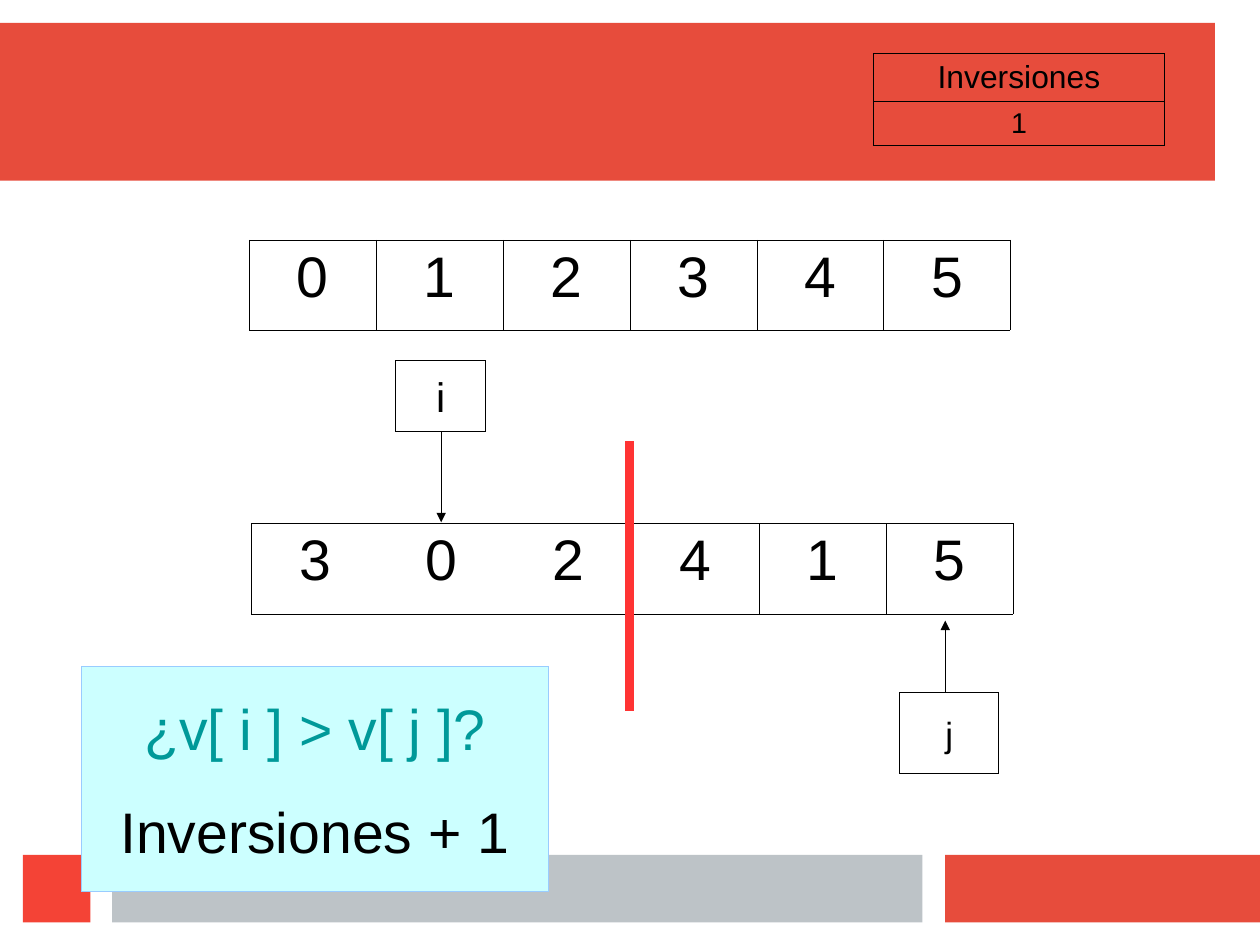
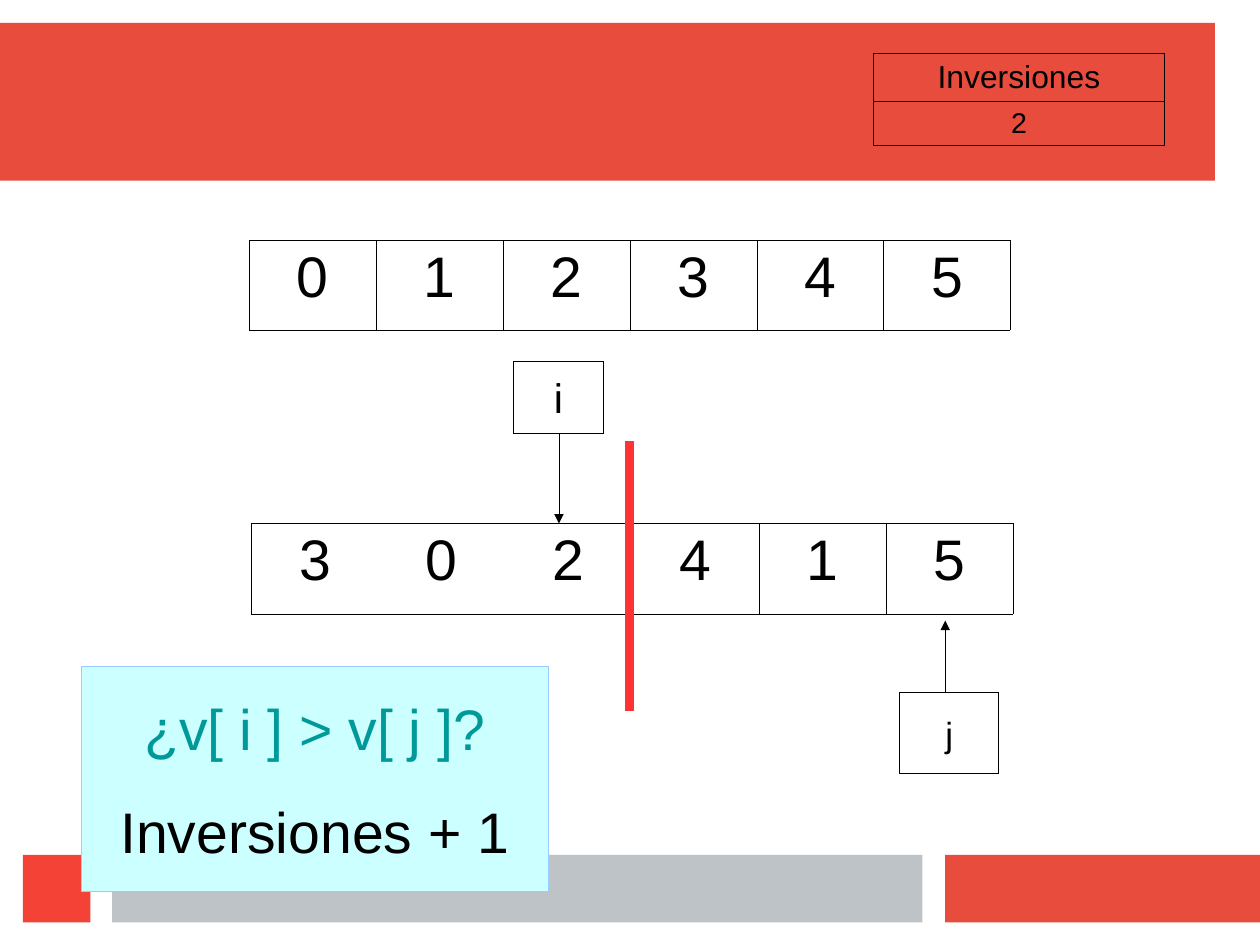
import lxml.etree
import pptx
import pptx.dml.color
import pptx.enum.shapes
import pptx.enum.text
import pptx.oxml.ns
import pptx.util

Inches = pptx.util.Inches
Pt = pptx.util.Pt
qn = pptx.oxml.ns.qn

FONT = "Arial"
BLACK, WHITE = "000000", "FFFFFF"
RED, BRIGHT_RED, GRAY = "E74C3C", "F44336", "BDC3C7"
DIVIDER_RED = "FF3333"
CYAN, CYAN_EDGE, TEAL = "CCFFFF", "99CCFF", "009999"
HAIRLINE = 0.01
BANDS = [
    (0, 0.2, 10.63, 1.38, RED),
    (8.27, 7.48, 2.76, 0.59, RED),
    (0.98, 7.48, 7.09, 0.59, GRAY),
    (0.2, 7.48, 0.59, 0.59, BRIGHT_RED),
]
CELL_WIDTH, CELL_HEIGHT = 1.11, 0.79


def color(value):
    return pptx.dml.color.RGBColor.from_string(value)


def format_para(para, size, ink=BLACK):
    para.alignment = pptx.enum.text.PP_ALIGN.CENTER
    for span in para.runs:
        span.font.name = FONT
        span.font.size = Pt(size)
        span.font.color.rgb = color(ink)


def add_box(slide, left, top, width, height, fill, edge=None):
    box = slide.shapes.add_shape(
        pptx.enum.shapes.MSO_SHAPE.RECTANGLE,
        Inches(left), Inches(top), Inches(width), Inches(height))
    box.shadow.inherit = False
    box.fill.solid()
    box.fill.fore_color.rgb = color(fill)
    if edge:
        box.line.color.rgb = color(edge)
        box.line.width = Pt(HAIRLINE)
    else:
        box.line.fill.background()
    return box


def add_text_box(slide, left, top, width, height, lines, size, fill=WHITE, edge=BLACK):
    """Add a box with centred lines, each given as (text, colour)."""
    box = add_box(slide, left, top, width, height, fill, edge)
    frame = box.text_frame
    frame.word_wrap = False
    frame.vertical_anchor = pptx.enum.text.MSO_ANCHOR.MIDDLE
    frame.text = "\n".join(text for text, _ in lines)
    for para, (_, ink) in zip(frame.paragraphs, lines):
        format_para(para, size, ink)
    return box


def add_line(slide, start, end, ink=BLACK, width=HAIRLINE, arrow=False):
    line = slide.shapes.add_connector(
        pptx.enum.shapes.MSO_CONNECTOR.STRAIGHT,
        *[Inches(value) for value in (*start, *end)])
    line.line.color.rgb = color(ink)
    line.line.width = Pt(width)
    properties = line._element.spPr
    if arrow:
        outline = properties.find(qn("a:ln"))
        lxml.etree.SubElement(outline, qn("a:tailEnd"), type="triangle")
    lxml.etree.SubElement(properties, qn("a:effectLst"))


def set_borders(cell, width, hidden=()):
    """Draw the four cell borders, leaving out the hidden sides (L, R, T, B)."""
    properties = cell._tc.get_or_add_tcPr()
    for index, side in enumerate("LRTB"):
        border = lxml.etree.Element(qn(f"a:ln{side}"), w=str(Pt(width)))
        if side in hidden:
            lxml.etree.SubElement(border, qn("a:noFill"))
        else:
            paint = lxml.etree.SubElement(border, qn("a:solidFill"))
            lxml.etree.SubElement(paint, qn("a:srgbClr"), val=BLACK)
        properties.insert(index, border)


def add_grid(slide, left, top, column_widths, row_heights, values, sizes,
             border=0.06, merged=0):
    """Add a table; no lines show between the first `merged` columns."""
    table = slide.shapes.add_table(
        len(row_heights), len(column_widths), Inches(left), Inches(top),
        Inches(sum(column_widths)), Inches(sum(row_heights))).table
    table.first_row = table.horz_banding = False
    for column, width in zip(table.columns, column_widths):
        column.width = Inches(width)
    for row, height, texts, size in zip(table.rows, row_heights, values, sizes):
        row.height = Inches(height)
        for index, (cell, text) in enumerate(zip(row.cells, texts)):
            cell.fill.background()
            hidden = ("L" if 0 < index < merged else "") + ("R" if index < merged - 1 else "")
            set_borders(cell, border, hidden)
            cell.text = text
            format_para(cell.text_frame.paragraphs[0], size)


def add_array(slide, left, top, digits, merged=0):
    add_grid(slide, left, top, [CELL_WIDTH] * len(digits), [CELL_HEIGHT],
             [digits], [36], merged=merged)


def add_counter(slide, left, top, count):
    add_grid(slide, left, top, [2.55], [0.42, 0.38],
             [["Inversiones"], [str(count)]], [20, 18], border=0.57)


def add_index_i(slide, left, top):
    """Add the box for i, with its arrow pointing down."""
    center = left + 0.4
    add_line(slide, (center, top + 0.55), (center, top + 1.42), arrow=True)
    add_text_box(slide, left, top, 0.79, 0.63, [("i", BLACK)], 26)


def add_index_j(slide, left, top):
    """Add the box for j, with its arrow pointing up."""
    center = left + 0.4
    add_line(slide, (center, top + 0.08), (center, top - 0.63), arrow=True)
    add_text_box(slide, left, top, 0.87, 0.71, [("j", BLACK)], 22)


def add_question(slide, left, top):
    box = add_text_box(
        slide, left, top, 4.09, 1.97,
        [("¿v[ i ] > v[ j ]?", TEAL), ("Inversiones + 1", BLACK)], 36, CYAN, CYAN_EDGE)
    box.text_frame.paragraphs[1].space_before = Pt(21.5)


def add_step_slide(deck, count, i_left, i_top):
    slide = deck.slides.add_slide(deck.slide_layouts[6])
    for band in BANDS:
        add_box(slide, *band)
    add_array(slide, 2.18, 2.1, "012345")
    add_array(slide, 2.2, 4.58, "302415", merged=3)
    add_counter(slide, 7.64, 0.47, count)
    add_line(slide, (5.51, 3.86), (5.51, 6.22), DIVIDER_RED, 5.67)
    add_index_i(slide, i_left, i_top)
    add_index_j(slide, 7.87, 6.06)
    add_question(slide, 0.71, 5.83)


def main():
    deck = pptx.Presentation()
    # The page is metric: 28 by 21 cm, or about 11.02 by 8.27 inches.
    deck.slide_width, deck.slide_height = pptx.util.Cm(28), pptx.util.Cm(21)
    for count, i_left, i_top in [(1, 3.46, 3.15), (2, 4.49, 3.16)]:
        add_step_slide(deck, count, i_left, i_top)
    deck.save("out.pptx")


if __name__ == "__main__":
    main()
